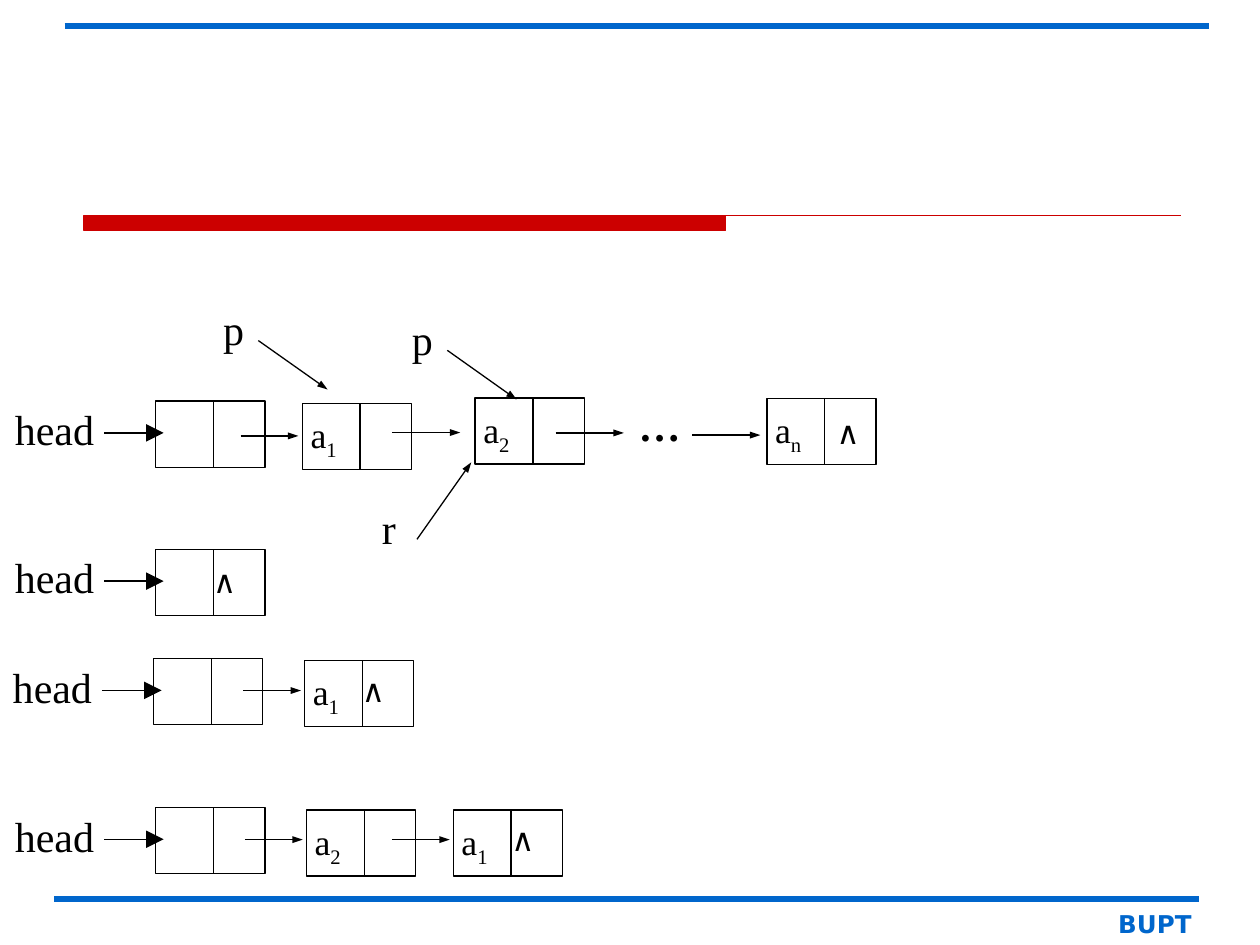
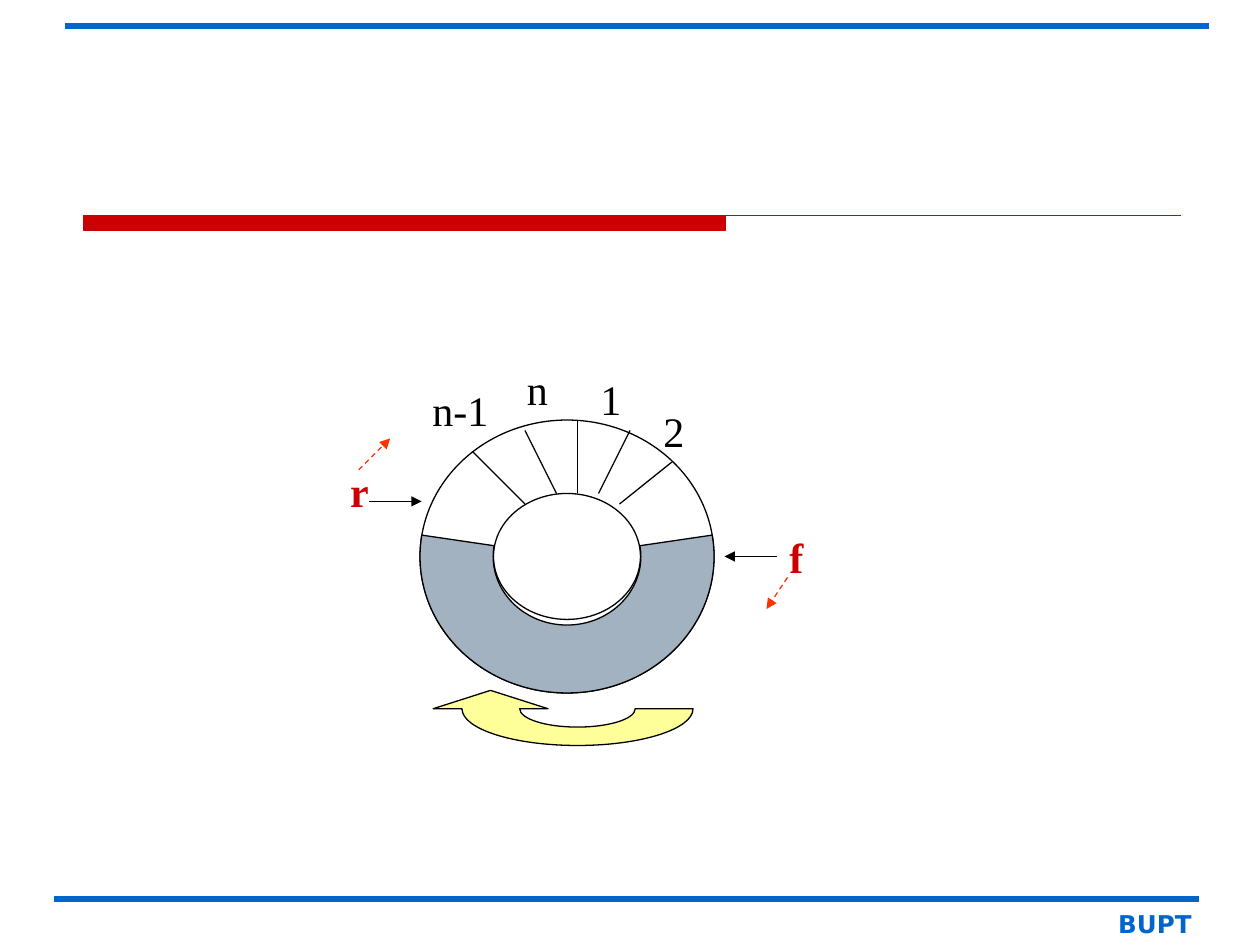
from math import cos, radians, sin, tan

from lxml.etree import SubElement
from pptx import Presentation
from pptx.dml.color import RGBColor
from pptx.enum.dml import MSO_LINE_DASH_STYLE as Dash
from pptx.enum.shapes import MSO_CONNECTOR as Connector, MSO_SHAPE as Shape
from pptx.enum.text import PP_ALIGN as Align
from pptx.oxml.ns import qn
from pptx.util import Pt

BLACK, RED, BLUE = "000000", "CC0000", "0066CC"
ORANGE, GREY, YELLOW = "FF3300", "A3B2C1", "FFFF99"
SERIF, SANS = "Times New Roman", "DejaVu Sans"

NODE_WIDTH, NODE_HEIGHT, DATA_WIDTH = 62.4, 37.8, 33
SMALL_HEAD, MEDIUM_HEAD, LARGE_HEAD = ("sm", "med"), ("med", "med"), ("lg", "lg")

TITLE_BAR = [(48, 123.2), (414.6, 123.2), (414.6, 131.8), (48, 131.8)]
TITLE_RULE = [(48, 123.2), (674.6, 123.2)]

# Head node left and top; nodes (subscript, left, top); links (left, y, length); null mark left and top
LINKED_LISTS = [
    {"head": (89, 229.2),
     "nodes": [("1", 172.8, 230.4), ("2", 271.5, 227.4), ("n", 438.2, 227.7)],
     "links": [(137.5, 249.1, 33), (224, 247.2, 39), (317.5, 247.4, 39), (395.5, 248.6, 39)],
     "null": (478, 236)},
    {"head": (89, 313.9), "nodes": [], "links": [], "null": (121.8, 321)},
    {"head": (87.8, 376.3), "nodes": [("1", 174.1, 377.5)],
     "links": [(139, 394.6, 33)], "null": (206.8, 383.3)},
    {"head": (89, 461.4), "nodes": [("2", 175.1, 462.8), ("1", 259, 462.8)],
     "links": [(140, 479.8, 33), (224, 479.8, 33)], "null": (292.2, 468.5)},
]
ELLIPSIS = ("…", 365, 228.4)
POINTERS = [
    ("p", (127.5, 173.6), (147.6, 194.6), (187.2, 222.6)),
    ("p", (235.4, 179.3), (255.6, 200.2), (295.2, 228.3)),
    ("r", (218.2, 287.3), (238.3, 308.2), (269.3, 264.2)),
]

RING_CENTRE, RING_RADII, HOLE_RADII = (324, 318), (84, 78), (42, 36)
USED_INNER_RADII = (42.2, 39.2)
USED_ANGLES = (-9, 0, 90, 180, 189)
RING_DIVIDERS = [
    ((330, 240), (330, 282)), ((342, 282), (360, 246)), ((318, 282), (300, 246)),
    ((300, 288), (270, 258)), ((354, 288), (384, 264)),
]
RING_LABELS = [("1", 336, 210, 54), ("2", 372, 228, 42), ("n", 294, 204, 42), ("n-1", 240, 216, 84)]
QUEUE_ENDS = [
    {"label": ("f", 444, 300, 48), "at": ((444, 318), (414, 318)), "moves": ((450, 330), (438, 348))},
    {"label": ("r", 193, 262.3, 30), "at": ((211, 286.5), (241, 286.5)), "moves": ((205, 268.5), (223, 250.5))},
]
TURN_CENTRE, TURN_OUTER, TURN_INNER = (330, 405), (66, 21), (33, 10.5)
TURN_ANGLES = (0, 90, 180)
TURN_HEAD = [(247.5, 405), (280.3, 394.5), (313.2, 405)]


def colour(value):
    """Turn a hex string into a colour."""
    return RGBColor.from_string(value)


def add_line(slide, start, end, line_colour=BLACK, width=0.75, head=None, dashed=False):
    """Draw a straight line, with an arrowhead at its end if asked."""
    line = slide.shapes.add_connector(Connector.STRAIGHT, *map(Pt, (*start, *end)))
    line.line.color.rgb = colour(line_colour)
    line.line.width = Pt(width)
    if dashed:
        line.line.dash_style = Dash.DASH
    if head:
        SubElement(line.line._get_or_add_ln(), qn("a:tailEnd"), type="triangle", w=head[0], len=head[1])
    SubElement(line.element.spPr, qn("a:effectLst"))
    return line


def style_shape(shape, fill=None, outline=BLACK):
    """Set the fill and outline of a shape, and drop its shadow."""
    shape.shadow.inherit = False
    if fill:
        shape.fill.solid()
        shape.fill.fore_color.rgb = colour(fill)
    else:
        shape.fill.background()
    shape.line.color.rgb = colour(outline)
    shape.line.width = Pt(0.75)
    return shape


def add_preset(slide, kind, left, top, width, height):
    """Draw an unfilled preset shape."""
    return style_shape(slide.shapes.add_shape(kind, *map(Pt, (left, top, width, height))))


def in_emu(points):
    """Convert points on the slide to drawing units."""
    return [(Pt(x), Pt(y)) for x, y in points]


def add_title_band(slide):
    """Draw the thick bar and the thin rule under the title area as one shape."""
    bar, rule = in_emu(TITLE_BAR), in_emu(TITLE_RULE)
    builder = slide.shapes.build_freeform(*bar[0])
    builder.add_line_segments(bar[1:])
    builder.move_to(*rule[0])
    builder.add_line_segments(rule[1:], close=False)
    return style_shape(builder.convert_to_shape(), RED, RED)


def arc(centre, radii, angles):
    """List (point, controls) stops of an elliptical arc; the first has no controls."""
    def point(angle, pull=0):
        turn = radians(angle)
        return (centre[0] + radii[0] * (cos(turn) - pull * sin(turn)),
                centre[1] + radii[1] * (sin(turn) + pull * cos(turn)))

    stops = [(point(angles[0]), None)]
    for first, last in zip(angles, angles[1:]):
        pull = 4 / 3 * tan(radians(last - first) / 4)
        stops.append((point(last), (point(first, pull), point(last, -pull))))
    return stops


def add_curved_outline(slide, stops, fill):
    """Draw a closed outline whose stops with controls are reached by curves."""
    points = in_emu(point for point, _ in stops)
    builder = slide.shapes.build_freeform(*points[0])
    builder.add_line_segments(points[1:])
    shape = style_shape(builder.convert_to_shape(), fill)
    segments = list(shape.element.iter(qn("a:lnTo")))
    for segment, (_, controls) in zip(segments, stops[1:]):
        if not controls:
            continue
        segment.tag = qn("a:cubicBezTo")
        end = segment[0]
        for x, y in in_emu(controls):
            SubElement(segment, qn("a:pt"), x=str(x - shape.left), y=str(y - shape.top))
        segment.append(end)
    return shape


def add_text(slide, text, left, top, width, height, size=24, font=SERIF, text_colour=BLACK,
             bold=False, subscript="", margins=(0, 0), align=Align.LEFT, spacing=1.0):
    """Write one line of text, with a subscript run if given."""
    box = slide.shapes.add_textbox(*map(Pt, (left, top, width, height)))
    frame = box.text_frame
    frame.word_wrap = True
    frame.margin_left = frame.margin_right = Pt(margins[0])
    frame.margin_top = frame.margin_bottom = Pt(margins[1])
    paragraph = frame.paragraphs[0]
    paragraph.alignment = align
    paragraph.line_spacing = spacing
    for part in filter(None, (text, subscript)):
        run = paragraph.add_run()
        run.text = part
        run.font.name, run.font.size, run.font.bold = font, Pt(size), bold
        run.font.color.rgb = colour(text_colour)
    if subscript:
        run._r.get_or_add_rPr().set("baseline", "-25000")
    return box


def furnish_layout(slide):
    """Draw the shared bands and footer and move them to the layout."""
    parts = [
        add_title_band(slide),
        add_line(slide, (37, 14.8), (691, 14.8), BLUE, 3),
        add_line(slide, (31, 513.8), (685, 513.8), BLUE, 3),
        add_text(slide, "BUPT", 496, 516.2, 192, 24.5, 14, SANS, BLUE, True,
                 margins=(7.2, 3.6), align=Align.RIGHT),
    ]
    for part in parts:
        slide.slide_layout.shapes.element.append(part.element)


def add_node(slide, left, top, subscript=""):
    """Draw a list node with its data and link fields."""
    add_preset(slide, Shape.RECTANGLE, left, top, NODE_WIDTH, NODE_HEIGHT)
    divider = left + DATA_WIDTH
    add_line(slide, (divider, top), (divider, top + NODE_HEIGHT))
    if subscript:
        add_text(slide, "a", left + 4.7, top + 5.8, 24, 28, 20.4, subscript=subscript, spacing=0.9)


def build_linked_lists(slide):
    """Draw the stages of the linked list and its pointers."""
    for stage in LINKED_LISTS:
        left, top = stage["head"]
        add_text(slide, "head", left - 80.5, top + 1.5, 80, 30)
        add_line(slide, (left - 29.5, top + 18.2), (left + 4.5, top + 18.2), head=LARGE_HEAD)
        add_node(slide, left, top)
        for subscript, node_left, node_top in stage["nodes"]:
            add_node(slide, node_left, node_top, subscript)
        for start, y, length in stage["links"]:
            add_line(slide, (start, y), (start + length, y), head=SMALL_HEAD)
        add_text(slide, "∧", *stage["null"], 24, 27.5, 18, SANS)
    add_text(slide, *ELLIPSIS, 33, 36, bold=True)
    for name, place, start, end in POINTERS:
        add_text(slide, name, *place, 29, 36)
        add_line(slide, start, end, head=SMALL_HEAD)


def build_ring_queue(slide):
    """Draw the circular queue with its front and rear."""
    x, y = RING_CENTRE
    for width, height in (HOLE_RADII, RING_RADII):
        add_preset(slide, Shape.OVAL, x - width, y - height, 2 * width, 2 * height)
    used = arc(RING_CENTRE, RING_RADII, USED_ANGLES)
    add_curved_outline(slide, used + arc(RING_CENTRE, USED_INNER_RADII, USED_ANGLES[::-1]), GREY)
    for start, end in RING_DIVIDERS:
        add_line(slide, start, end)
    for text, left, top, width in RING_LABELS:
        add_text(slide, text, left, top, width, 36, margins=(7.2, 3.6))
    for queue_end in QUEUE_ENDS:
        text, left, top, width = queue_end["label"]
        add_text(slide, text, left, top, width, 36, text_colour=RED, bold=True, margins=(7.2, 3.6))
        add_line(slide, *queue_end["at"], head=MEDIUM_HEAD)
        add_line(slide, *queue_end["moves"], ORANGE, head=MEDIUM_HEAD, dashed=True)
    turn = arc(TURN_CENTRE, TURN_OUTER, TURN_ANGLES) + [(point, None) for point in TURN_HEAD]
    add_curved_outline(slide, turn + arc(TURN_CENTRE, TURN_INNER, TURN_ANGLES[::-1]), YELLOW)


def main():
    """Build and save the presentation."""
    presentation = Presentation()
    presentation.slide_width, presentation.slide_height = Pt(720), Pt(540)
    layout = presentation.slide_layouts[6]
    for number, build in enumerate((build_linked_lists, build_ring_queue)):
        slide = presentation.slides.add_slide(layout)
        if number == 0:
            furnish_layout(slide)
        build(slide)
    presentation.save("out.pptx")


if __name__ == "__main__":
    main()
